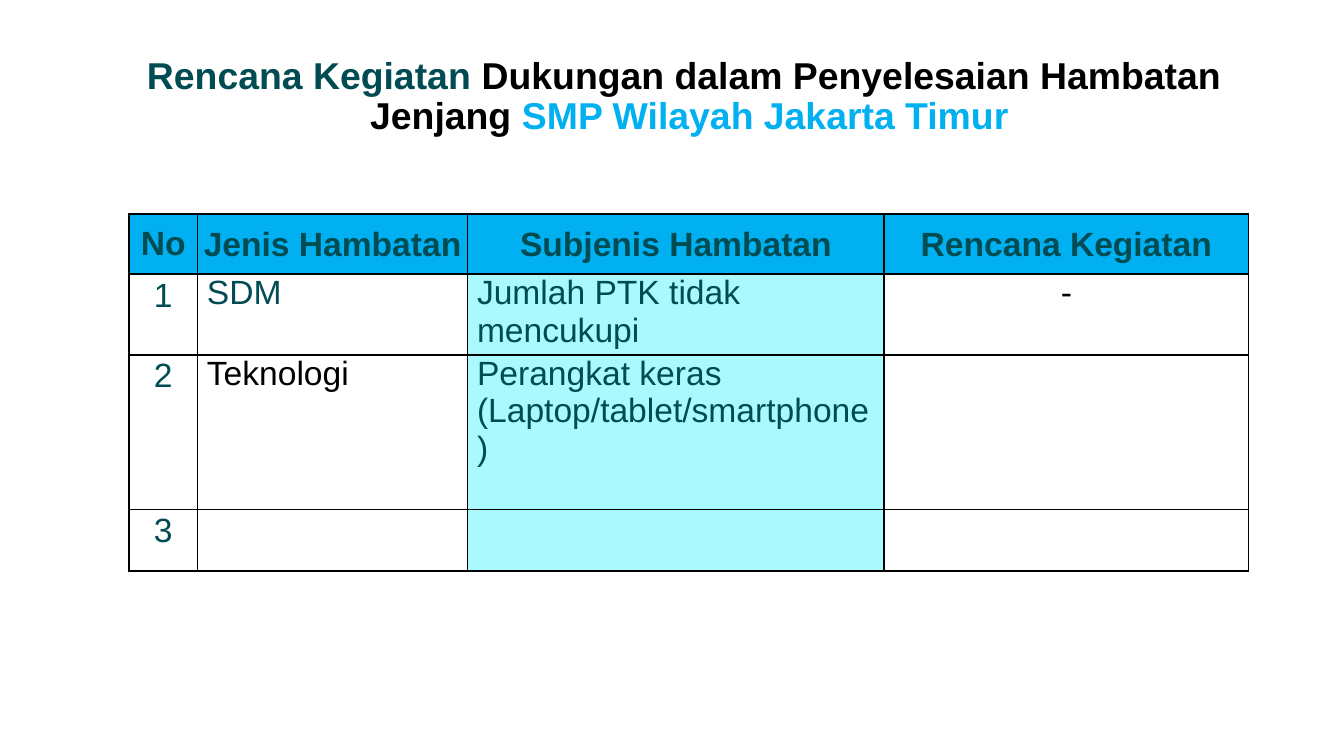
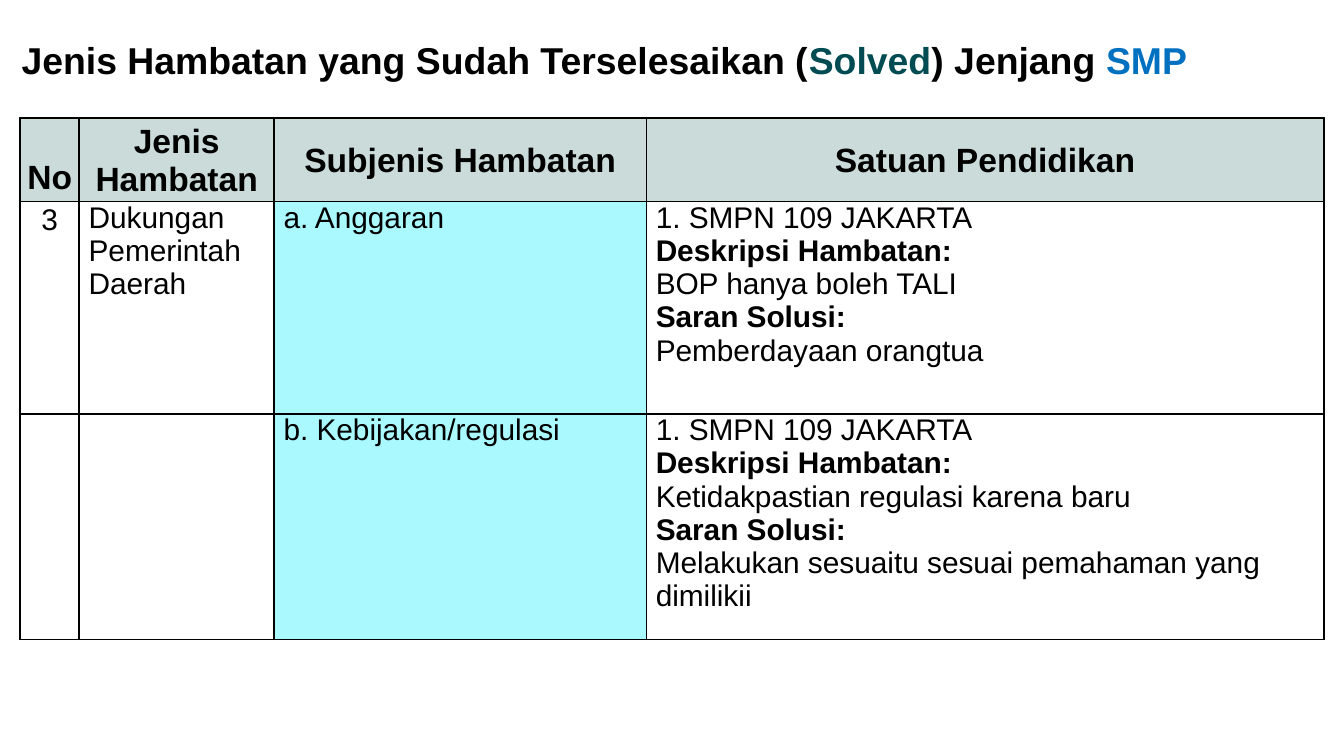
from dataclasses import dataclass

from lxml import etree
from pptx import Presentation
from pptx.dml.color import RGBColor
from pptx.enum.text import MSO_ANCHOR, PP_ALIGN
from pptx.oxml.ns import qn
from pptx.util import Emu, Pt

LEFT, CENTER = PP_ALIGN.LEFT, PP_ALIGN.CENTER
TOP, MIDDLE, BOTTOM = MSO_ANCHOR.TOP, MSO_ANCHOR.MIDDLE, MSO_ANCHOR.BOTTOM
EMU_PER_PX = 9144  # 100 px to the inch


@dataclass(frozen=True)
class Theme:
    font: str = "Arial"
    black: str = "000000"
    teal: str = "004C52"
    sky: str = "00B0F0"
    blue: str = "0070C0"
    sage: str = "CADBD9"
    aqua: str = "A9F9FF"
    title_size: int = 20
    header_size: int = 18
    detail_size: int = 16
    border_width: int = 1


THEME = Theme()


@dataclass(frozen=True)
class Words:
    text: str
    color: str = THEME.black
    bold: bool = False


@dataclass(frozen=True)
class TableStyle:
    header_fill: str
    header_color: str
    number_color: str
    body_size: int
    number_anchor: int
    number_margins: tuple
    number_header_margins: tuple


PLAN_STYLE = TableStyle(THEME.sky, THEME.teal, THEME.teal, THEME.header_size,
                        MIDDLE, (7, 0, 7, 0), (0, 0, 0, 0))
SOLVED_STYLE = TableStyle(THEME.sage, THEME.black, THEME.black, THEME.detail_size,
                          BOTTOM, (0, 0, 0, 0), (0, 0, 0, 4))
HEADER_MARGINS = (1, 1, 1, 0)
BODY_MARGINS = (7, 0, 7, 0)
NUMBER_COLUMN, SUBTYPE_COLUMN = 0, 2


def px(length):
    return Emu(length * EMU_PER_PX)


def apply_format(target, values):
    for name, value in values.items():
        setattr(target, name, value)


def set_margins(target, margins):
    sides = ("margin_left", "margin_top", "margin_right", "margin_bottom")
    apply_format(target, dict(zip(sides, map(px, margins))))


def add_words(paragraph, words, size):
    run = paragraph.add_run()
    run.text = words.text
    apply_format(run.font, {"name": THEME.font, "size": Pt(size), "bold": words.bold})
    run.font.color.rgb = RGBColor.from_string(words.color)


def add_title(slide, left, top, width, alignment, lines):
    """Add a bold title; each line is a list of (text, colour) pairs."""
    frame = slide.shapes.add_textbox(px(left), px(top), px(width), px(91)).text_frame
    apply_format(frame, {"word_wrap": True, "vertical_anchor": MIDDLE})
    set_margins(frame, (7, 4, 7, 4))
    paragraph = frame.paragraphs[0]
    apply_format(paragraph, {"alignment": alignment, "line_spacing": 0.9})
    for index, line in enumerate(lines):
        if index:
            paragraph.add_line_break()
        for text, color in line:
            add_words(paragraph, Words(text, color, True), THEME.title_size)


def add_borders(cell):
    properties = cell._tc.get_or_add_tcPr()
    for side in ("a:lnL", "a:lnR", "a:lnT", "a:lnB"):
        line = etree.SubElement(properties, qn(side), w=str(Pt(THEME.border_width)))
        fill = etree.SubElement(line, qn("a:solidFill"))
        etree.SubElement(fill, qn("a:srgbClr"), val=THEME.black)


def paint_cell(cell, color=None):
    add_borders(cell)
    if color:
        cell.fill.solid()
        cell.fill.fore_color.rgb = RGBColor.from_string(color)
    else:
        cell.fill.background()


def write_cell(cell, paragraphs, size, margins, anchor, paragraph_format):
    set_margins(cell, margins)
    cell.vertical_anchor = anchor
    frame = cell.text_frame
    for index, words in enumerate(paragraphs):
        paragraph = frame.add_paragraph() if index else frame.paragraphs[0]
        apply_format(paragraph, paragraph_format)
        add_words(paragraph, words, size)


def fill_header(cell, column, text, style):
    paint_cell(cell, style.header_fill)
    is_number = column == NUMBER_COLUMN
    write_cell(cell, [Words(text, style.header_color, True)], THEME.header_size,
               style.number_header_margins if is_number else HEADER_MARGINS,
               style.number_anchor if is_number else MIDDLE,
               {"alignment": CENTER})


def fill_body(cell, column, content, style):
    paint_cell(cell, THEME.aqua if column == SUBTYPE_COLUMN else None)
    if not content:
        return
    if column == NUMBER_COLUMN:
        write_cell(cell, [Words(content, style.number_color)], style.body_size,
                   style.number_margins, TOP,
                   {"alignment": CENTER, "line_spacing": 1.07})
    else:
        alignment = CENTER if content[0].text == "-" else LEFT
        write_cell(cell, content, style.body_size, BODY_MARGINS, TOP,
                   {"alignment": alignment})


def add_obstacle_table(slide, left, top, widths, heights, headers, rows, style):
    table = slide.shapes.add_table(len(heights), len(widths), px(left), px(top),
                                   px(sum(widths)), px(sum(heights))).table
    apply_format(table, {"first_row": False, "horz_banding": False})
    for column, width in zip(table.columns, widths):
        column.width = px(width)
    for row, height in zip(table.rows, heights):
        row.height = px(height)
    for column, text in enumerate(headers):
        fill_header(table.cell(0, column), column, text, style)
    for row_number, row in enumerate(rows, start=1):
        for column, content in enumerate(row):
            fill_body(table.cell(row_number, column), column, content, style)


def school_report(description, solution):
    return [
        Words("1. SMPN 109 JAKARTA"),
        Words("Deskripsi Hambatan:", bold=True),
        Words(description),
        Words("Saran Solusi:", bold=True),
        Words(solution),
    ]


def build_plan_slide(slide):
    add_title(slide, 82, 27, 862, CENTER, [
        [("Rencana Kegiatan ", THEME.teal),
         ("Dukungan dalam Penyelesaian Hambatan ", THEME.black)],
        [("Jenjang ", THEME.black), ("SMP Wilayah Jakarta Timur", THEME.sky)],
    ])
    add_obstacle_table(
        slide, 96, 159, (51, 201, 310, 271), (45, 46, 115, 46),
        ("No", "Jenis Hambatan", "Subjenis Hambatan", "Rencana Kegiatan"),
        [
            ("1", [Words("SDM", THEME.teal)],
             [Words("Jumlah PTK tidak mencukupi", THEME.teal)], [Words("-")]),
            ("2", [Words("Teknologi")],
             [Words("Perangkat keras (Laptop/tablet/smartphone)", THEME.teal)], None),
            ("3", None, None, None),
        ], PLAN_STYLE)


def build_solved_slide(slide):
    add_title(slide, 9, 1, 925, LEFT, [[
        ("Jenis Hambatan yang Sudah Terselesaikan (", THEME.black),
        ("Solved", THEME.teal), (") Jenjang ", THEME.black), ("SMP", THEME.blue),
    ]])
    add_obstacle_table(
        slide, 15, 88, (44, 145, 277, 504), (62, 158, 168),
        ("No", "Jenis Hambatan", "Subjenis Hambatan", "Satuan Pendidikan"),
        [
            ("3", [Words("Dukungan Pemerintah Daerah")], [Words("a. Anggaran")],
             school_report("BOP hanya boleh TALI", "Pemberdayaan orangtua")),
            (None, None, [Words("b. Kebijakan/regulasi")],
             school_report("Ketidakpastian regulasi karena baru",
                           "Melakukan sesuaitu sesuai pemahaman yang dimilikii")),
        ], SOLVED_STYLE)


def main():
    presentation = Presentation()
    presentation.slide_width = px(1000)
    presentation.slide_height = presentation.slide_width * 9 // 16
    blank_layout = presentation.slide_layouts[6]
    for build_slide in (build_plan_slide, build_solved_slide):
        build_slide(presentation.slides.add_slide(blank_layout))
    presentation.save("out.pptx")


if __name__ == "__main__":
    main()
